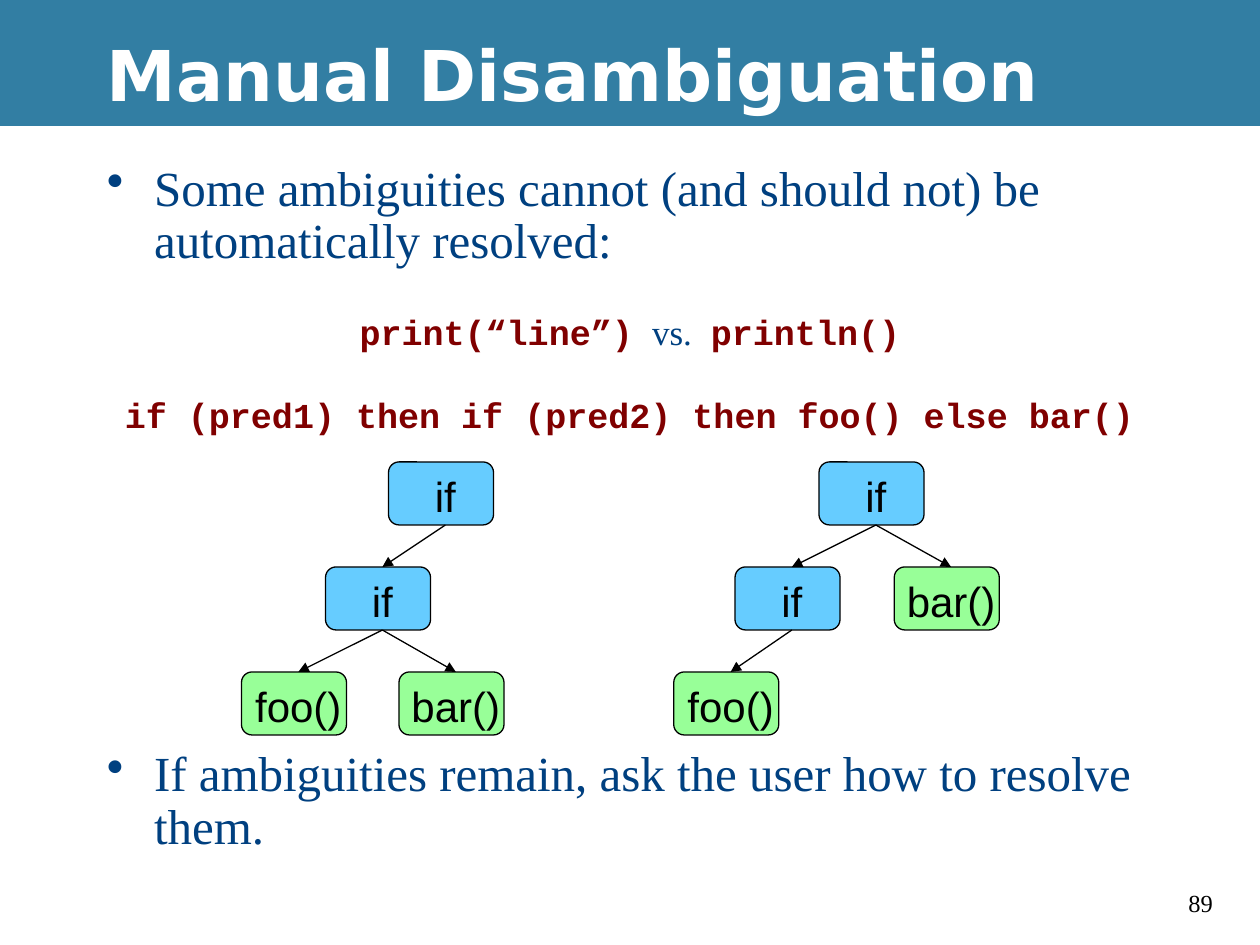
"""Builds the Manual Disambiguation slide with two parse trees for a dangling else."""
import pptx
import pptx.dml.color
import pptx.enum.shapes
import pptx.enum.text
import pptx.util
from lxml import etree
from pptx.oxml.ns import qn

Pt = pptx.util.Pt
RGBColor = pptx.dml.color.RGBColor
MSO_SHAPE = pptx.enum.shapes.MSO_SHAPE
ANCHOR = pptx.enum.text.MSO_ANCHOR
ALIGN = pptx.enum.text.PP_ALIGN

WHITE = RGBColor(0xFF, 0xFF, 0xFF)
BLACK = RGBColor(0x00, 0x00, 0x00)
TEAL = RGBColor(0x32, 0x7E, 0xA3)
NAVY = RGBColor(0x00, 0x40, 0x80)
MAROON = RGBColor(0x80, 0x00, 0x00)
SKY = RGBColor(0x66, 0xCC, 0xFF)
MINT = RGBColor(0x98, 0xFF, 0x98)

TITLE = {"name": "DejaVu Sans", "size": Pt(40), "bold": True}
PROSE = {"name": "Times New Roman", "size": Pt(28), "bold": False}
VERSUS = {"name": "Times New Roman", "size": Pt(20), "bold": False}
CODE = {"name": "Courier New", "size": Pt(20), "bold": True}
CODE_GAP = {"name": "Courier New", "size": Pt(18), "bold": True}
NUMBER = {"name": "Times New Roman", "size": Pt(14), "bold": False}
LABEL = {"name": "Arial", "size": Pt(24), "bold": False}


def add_run(paragraph, text, style, color):
    run = paragraph.add_run()
    run.text = text
    for attribute, value in style.items():
        setattr(run.font, attribute, value)
    run.font.color.rgb = color


def add_block(kind, left, top, width, height, fill):
    block = slide.shapes.add_shape(kind, Pt(left), Pt(top), Pt(width), Pt(height))
    block.shadow.inherit = False
    block.fill.solid()
    block.fill.fore_color.rgb = fill
    block.line.fill.background()
    return block


deck = pptx.Presentation()
deck.slide_width, deck.slide_height = Pt(720), Pt(540)
slide = deck.slides.add_slide(deck.slide_layouts[6])

add_block(MSO_SHAPE.RECTANGLE, 0, 72, 720, 468, WHITE)
add_block(MSO_SHAPE.RECTANGLE, 0, 0, 720, 72, TEAL)

page_number = slide.shapes.add_textbox(Pt(672), Pt(504), Pt(36), Pt(24)).text_frame
page_number.word_wrap = True
add_run(page_number.paragraphs[0], "89", NUMBER, BLACK)

title = slide.shapes.add_textbox(Pt(54), Pt(6), Pt(666), Pt(72)).text_frame
title.word_wrap = True
title.vertical_anchor = ANCHOR.MIDDLE
add_run(title.paragraphs[0], "Manual Disambiguation", TITLE, WHITE)

body = slide.shapes.add_textbox(Pt(54), Pt(90), Pt(612), Pt(420)).text_frame
body.word_wrap = True
statements = [
    (True, 5.6, [("Some ambiguities cannot (and should not) be automatically resolved:", PROSE, NAVY)]),
    (False, 26, [
        ("print(“line”)", CODE, MAROON),
        (" ", CODE_GAP, MAROON),
        ("vs.", VERSUS, NAVY),
        (" ", CODE_GAP, MAROON),
        ("println()", CODE, MAROON),
    ]),
    (False, 26, [("if (pred1) then if (pred2) then foo() else bar()", CODE, MAROON)]),
    (True, 179, [("If ambiguities remain, ask the user how to resolve them.", PROSE, NAVY)]),
]
for position, (bulleted, gap, pieces) in enumerate(statements):
    statement = body.add_paragraph() if position else body.paragraphs[0]
    statement.line_spacing = 0.9
    statement.space_before = Pt(gap)
    if bulleted:
        properties = statement._p.get_or_add_pPr()
        properties.set("marL", str(Pt(27)))
        properties.set("indent", str(-Pt(27)))
        etree.SubElement(properties, qn("a:buChar")).set("char", "•")
    else:
        statement.alignment = ALIGN.CENTER
    for text, style, color in pieces:
        add_run(statement, text, style, color)

NODE_WIDTH, NODE_HEIGHT = 60, 36
FIRST_ROW, ROW_STEP = 264, 60
LABEL_SHIFT = 2.5
trees = [
    ([("if", 222, 0), ("if", 186, 1), ("foo()", 138, 2), ("bar()", 228, 2)],
     [(0, 1), (1, 2), (1, 3)]),
    ([("if", 468, 0), ("if", 420, 1), ("foo()", 385, 2), ("bar()", 511, 1)],
     [(0, 1), (1, 2), (0, 3)]),
]
for nodes, branches in trees:
    for text, left, row in nodes:
        node = add_block(MSO_SHAPE.FLOWCHART_ALTERNATE_PROCESS, left, FIRST_ROW + row * ROW_STEP,
                         NODE_WIDTH, NODE_HEIGHT, SKY if text == "if" else MINT)
        node.line.color.rgb = BLACK
        node.line.width = Pt(0.75)
        frame = node.text_frame
        layout = {"margin_left": Pt(2 * LABEL_SHIFT), "margin_right": 0, "margin_top": Pt(3),
                  "margin_bottom": 0, "word_wrap": False, "vertical_anchor": ANCHOR.MIDDLE}
        for attribute, value in layout.items():
            setattr(frame, attribute, value)
        frame.paragraphs[0].alignment = ALIGN.CENTER
        add_run(frame.paragraphs[0], text, LABEL, BLACK)
    for parent, child in branches:
        start_x, end_x = (nodes[end][1] + NODE_WIDTH / 2 + LABEL_SHIFT for end in (parent, child))
        start_y = FIRST_ROW + nodes[parent][2] * ROW_STEP + NODE_HEIGHT
        end_y = FIRST_ROW + nodes[child][2] * ROW_STEP
        branch = slide.shapes.add_connector(pptx.enum.shapes.MSO_CONNECTOR.STRAIGHT,
                                            Pt(start_x), Pt(start_y), Pt(end_x), Pt(end_y))
        branch.line.color.rgb = BLACK
        branch.line.width = Pt(0.75)
        etree.SubElement(branch.line._get_or_add_ln(), qn("a:tailEnd")).set("type", "triangle")
        etree.SubElement(branch._element.spPr, qn("a:effectLst"))

deck.save("out.pptx")
